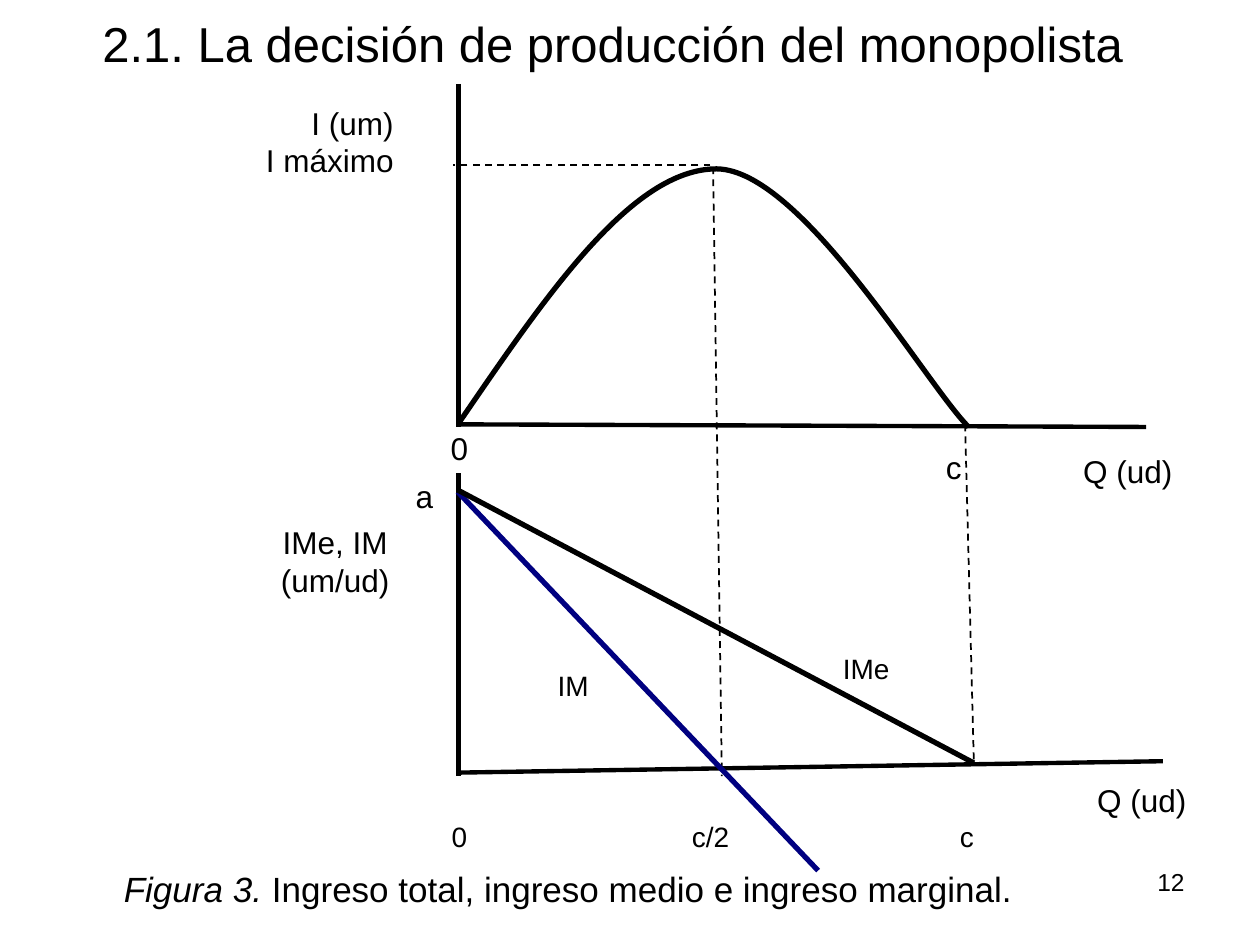
from lxml import etree
from pptx import Presentation
from pptx import util as u
from pptx.dml.color import RGBColor
from pptx.enum import dml, shapes, text
from pptx.oxml import ns

COLORS = {"ink": "000000", "marginal": "000080"}
FONT = "Arial"
BOTTOM, MIDDLE, TOP = text.MSO_ANCHOR.BOTTOM, text.MSO_ANCHOR.MIDDLE, text.MSO_ANCHOR.TOP
CENTER, RIGHT = text.PP_ALIGN.CENTER, text.PP_ALIGN.RIGHT

TITLE = "2.1. La decisión de producción del monopolista"
TITLE_BOX = (26, -45, 648, 90)

AXES = [
    (262, 48, 262, 244),
    (262, 270.5, 262, 443.5),
    (261.5, 242.5, 655, 244),
    (262, 441.5, 664.5, 435),
]
GUIDES = [
    (407.5, 95.5, 412.5, 443.5),
    (551.5, 242.5, 556.5, 436),
    (406, 94.5, 259, 94.5),
]
AVERAGE_INCOME = (261.5, 280, 556.5, 436)
MARGINAL_INCOME = (261.5, 281, 467.5, 497.5)
TOTAL_INCOME = [
    (262, 242), (312, 169), (361, 96.5), (409.5, 96.5),
    (458, 97), (529, 219.5), (553.5, 244),
]

AXIS_LABELS = [
    (["IMe, IM (um/ud)"], (140.5, 314, 102, 31.5), CENTER),
    (["I (um)", "I máximo"], (122, 70.5, 110, 35.5), RIGHT),
    (["Q (ud)"], (610, 263.5, 69, 20), CENTER),
    (["Q (ud)"], (618, 451.5, 69, 20), CENTER),
    (["0"], (245.5, 240.5, 34, 30), CENTER),
    (["c"], (528, 251, 34, 30), CENTER),
    (["a"], (225.5, 268, 34, 30), CENTER),
]
CURVE_LABELS = [("IMe", 495, 382), ("IM", 327.5, 391.5)]
QUANTITY_LABELS = [("0", 262.5), ("c/2", 406), ("c", 552.5)]
QUANTITY_Y = 478
CAPTION = [("Figura 3. ", True), ("Ingreso total, ingreso medio e ingreso marginal.", False)]
CAPTION_BOX = (23, 481, 603.5, 42.5)
PAGE = "12"
PAGE_BOX = (516, 492, 168, 37.5)


def rgb(name):
    return RGBColor.from_string(COLORS[name])


def style_text(frame, size, anchor, align, wrap=True):
    frame.word_wrap = wrap
    frame.auto_size = text.MSO_AUTO_SIZE.NONE
    frame.vertical_anchor = anchor
    for paragraph in frame.paragraphs:
        paragraph.alignment = align
        paragraph.font.name = FONT
        paragraph.font.size = u.Pt(size)
        paragraph.font.color.rgb = rgb("ink")


def add_label(slide, lines, box, size, anchor=BOTTOM, align=CENTER, wrap=True):
    frame = slide.shapes.add_textbox(*map(u.Pt, box)).text_frame
    frame.text = "\n".join(lines)
    style_text(frame, size, anchor, align, wrap)
    return frame


def add_centered_label(slide, label, x, y, width=40, height=26):
    box = (x - width / 2, y - height / 2, width, height)
    add_label(slide, [label], box, 16, MIDDLE, wrap=False)


def add_line(slide, ends, width, color="ink", dashed=False):
    line = slide.shapes.add_connector(shapes.MSO_CONNECTOR.STRAIGHT, *map(u.Pt, ends))
    line.line.width = u.Pt(width)
    line.line.color.rgb = rgb(color)
    if dashed:
        line.line.dash_style = dml.MSO_LINE.DASH
    etree.SubElement(line._element.spPr, ns.qn("a:effectLst"))


def add_curve(slide, points, width):
    points = [(u.Pt(x), u.Pt(y)) for x, y in points]
    builder = slide.shapes.build_freeform(*points[0])
    builder.add_line_segments(points[1:], close=False)
    curve = builder.convert_to_shape()
    segments = list(curve._element.iter(ns.qn("a:lnTo")))
    outline = segments[0].getparent()
    for start in range(0, len(segments), 3):
        bezier = etree.SubElement(outline, ns.qn("a:cubicBezTo"))
        for segment in segments[start:start + 3]:
            bezier.append(segment[0])
            outline.remove(segment)
    curve.fill.background()
    curve.line.width = u.Pt(width)
    curve.line.color.rgb = rgb("ink")
    curve.shadow.inherit = False


def main():
    deck = Presentation()
    deck.slide_width, deck.slide_height = u.Pt(720), u.Pt(540)
    slide = deck.slides.add_slide(deck.slide_layouts[5])

    title = slide.shapes.title
    title.left, title.top, title.width, title.height = map(u.Pt, TITLE_BOX)
    title.text_frame.text = TITLE
    style_text(title.text_frame, 28, BOTTOM, CENTER)

    for axis in AXES:
        add_line(slide, axis, 2.5)
    add_curve(slide, TOTAL_INCOME, 3)
    for guide in GUIDES:
        add_line(slide, guide, 1, dashed=True)
    add_line(slide, MARGINAL_INCOME, 3, "marginal")
    add_line(slide, AVERAGE_INCOME, 3)

    for lines, box, align in AXIS_LABELS:
        add_label(slide, lines, box, 18, align=align)
    for label, x, y in CURVE_LABELS:
        add_centered_label(slide, label, x, y)
    for label, x in QUANTITY_LABELS:
        add_centered_label(slide, label, x, QUANTITY_Y)

    caption = add_label(slide, [""], CAPTION_BOX, 20)
    for words, italic in CAPTION:
        run = caption.paragraphs[0].add_run()
        run.text = words
        run.font.italic = italic
    add_label(slide, [PAGE], PAGE_BOX, 14, TOP, RIGHT)

    deck.save("out.pptx")


if __name__ == "__main__":
    main()
